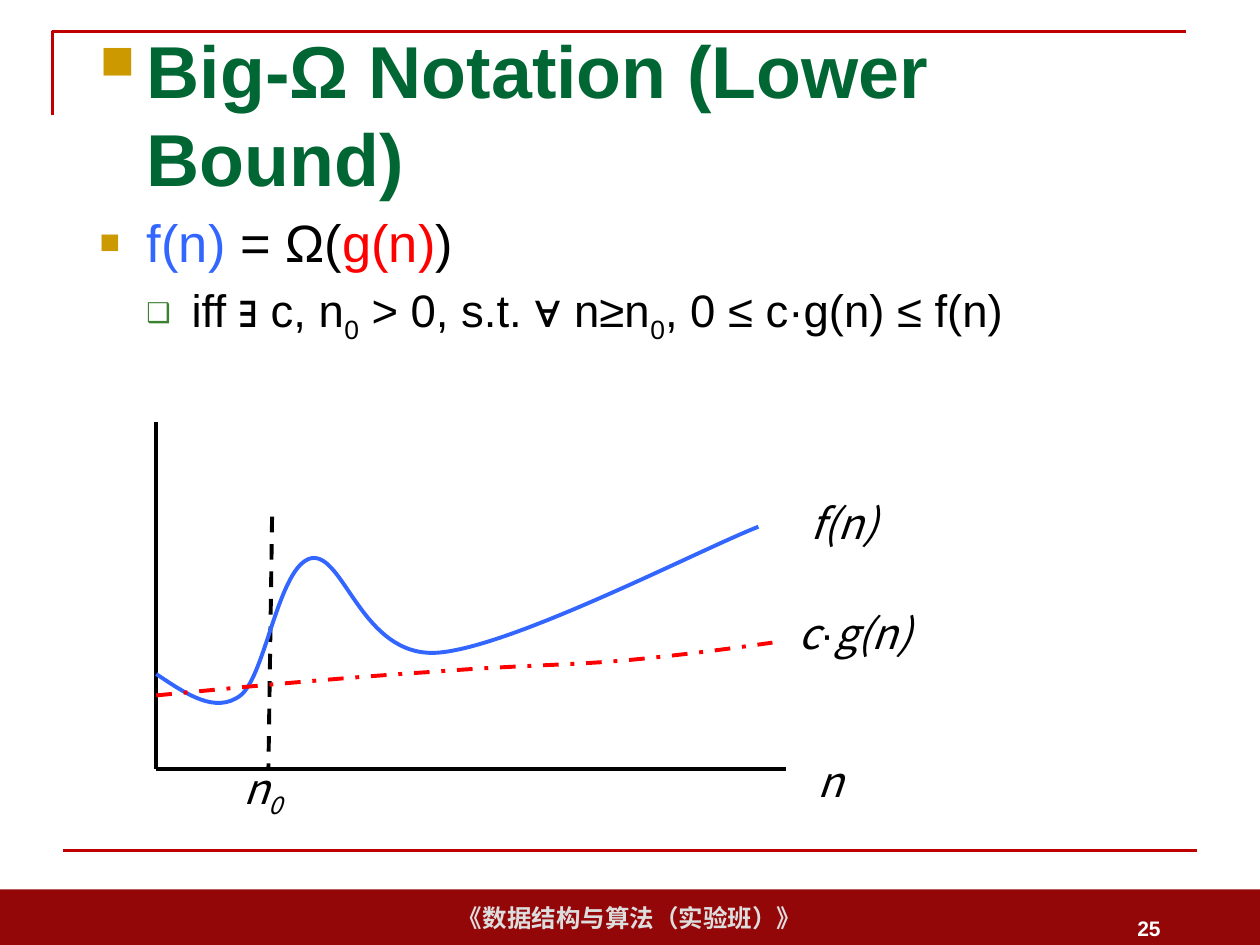
from lxml.etree import SubElement
from pptx import Presentation
from pptx.dml.color import RGBColor
from pptx.enum.dml import MSO_LINE
from pptx.enum.shapes import MSO_CONNECTOR, MSO_SHAPE
from pptx.enum.text import MSO_ANCHOR, MSO_AUTO_SIZE, PP_ALIGN
from pptx.oxml.ns import qn
from pptx.util import Pt

COLORS = {
    "black": "000000", "white": "FFFFFF", "grey": "DDDDDD",
    "blue": "3366FF", "red": "FF0000", "title": "006633",
    "gold": "CC9900", "green": "3B812F", "rule": "C00000", "band": "940709",
}
MATH = {"size": Pt(24), "name": "Noto Sans CJK SC", "color": "black", "italic": True}


def rgb(name):
    return RGBColor.from_string(COLORS[name])


def add_runs(p, base, runs):
    """Add (text, changes) runs to p, each formatted with base plus its changes."""
    for text, changes in runs:
        r = p.add_run()
        r.text = text
        values = {**base, **changes}
        r.font.color.rgb = rgb(values.pop("color"))
        rPr = r._r.get_or_add_rPr()
        if values.pop("sub", False):
            rPr.set("baseline", "-25000")
        for attr, value in values.items():
            setattr(r.font, attr, value)
        SubElement(rPr, qn("a:ea")).set("typeface", values["name"])


prs = Presentation()
prs.slide_width, prs.slide_height = Pt(720), Pt(540)
s = prs.slides.add_slide(prs.slide_layouts[1])

# Footer band
band = s.shapes.add_shape(MSO_SHAPE.RECTANGLE, Pt(0), Pt(508.3), Pt(720), Pt(31.7))
band.shadow.inherit = False
band.fill.solid()
band.fill.fore_color.rgb = rgb("band")
band.line.fill.background()
tf = band.text_frame
tf.word_wrap = False
tf.vertical_anchor = MSO_ANCHOR.MIDDLE
tf.paragraphs[0].alignment = PP_ALIGN.CENTER
add_runs(tf.paragraphs[0], {"size": Pt(14), "name": "Arial", "color": "grey", "bold": True},
         [("《数据结构与算法（实验班）》", {})])

# Title and definition
title, body = s.shapes.title, s.placeholders[1]
for sp, top, height, anchor in (
    (title, 28.8, 71.3, MSO_ANCHOR.MIDDLE),
    (body, 116.6, 370.8, MSO_ANCHOR.TOP),
):
    sp.left, sp.top, sp.width, sp.height = Pt(49.7), Pt(top), Pt(621.4), Pt(height)
    sp.text_frame.auto_size = MSO_AUTO_SIZE.NONE
    sp.text_frame.word_wrap = True
    sp.text_frame.vertical_anchor = anchor

heading = title.text_frame.paragraphs[0]
claim = body.text_frame.paragraphs[0]
condition = body.text_frame.add_paragraph()
condition.level = 1
heading.alignment = PP_ALIGN.LEFT
claim.space_before = Pt(0)

for p, margin, indent, char, color, percent in (
    (heading, 27, -27, "■", "gold", 65),
    (claim, 27, -27, "■", "gold", 65),
    (condition, 52.6, -25.9, "❑", "green", 60),
):
    pPr = p._p.get_or_add_pPr()
    pPr.set("marL", str(Pt(margin)))
    pPr.set("indent", str(Pt(indent)))
    SubElement(SubElement(pPr, qn("a:buClr")), qn("a:srgbClr")).set("val", COLORS[color])
    SubElement(pPr, qn("a:buSzPct")).set("val", str(percent * 1000))
    SubElement(pPr, qn("a:buChar")).set("char", char)

add_runs(heading, {"size": Pt(42), "name": "Arial", "color": "title", "bold": True},
         [("Big-Ω Notation (Lower Bound)", {})])
add_runs(claim, {"size": Pt(30), "name": "Arial", "color": "black"}, [
    ("f(n)", {"color": "blue"}), (" = Ω(", {}), ("g(n)", {"color": "red"}), (")", {}),
])
add_runs(condition, {"size": Pt(26), "name": "Arial", "color": "black"}, [
    ("iff ∃ c, n", {}), ("0", {"sub": True}), (" > 0, s.t. ∀ n≥n", {}),
    ("0", {"sub": True}), (", 0 ≤ c·g(n) ≤ f(n)", {}),
])

# Bottom rule, axes and the n0 marker
for x1, y1, x2, y2, color, width, dash in (
    (36, 486, 684, 486, "rule", 1.5, None),
    (89.3, 439.2, 449.3, 439.2, "black", 2.25, None),
    (89.3, 439.2, 89.3, 241.2, "black", 2.25, None),
    (155.5, 295.2, 153.4, 439.2, "black", 2.25, MSO_LINE.DASH),
):
    line = s.shapes.add_connector(MSO_CONNECTOR.STRAIGHT, Pt(x1), Pt(y1), Pt(x2), Pt(y2))
    line.line.color.rgb = rgb(color)
    line.line.width = Pt(width)
    line.line.dash_style = dash
    SubElement(line._element.spPr, qn("a:effectLst"))

# Corner frame and the two functions; curves list Bezier control points
corner = [(30, 66), (30, 18), (678, 18)]
f_curve = [
    (89.3, 385.2), (106.6, 396.7), (123.1, 408.2), (137.5, 397.4),
    (151.9, 385.9), (159.1, 323.3), (177.8, 319),
    (196.6, 315.4), (206.6, 375.8), (249.8, 373),
    (292.3, 370.1), (400.3, 313.9), (433.4, 301),
]
g_curve = [
    (89.3, 397.4), (146.9, 391.7), (204.5, 386.6), (249.1, 383.8),
    (293.8, 380.2), (325.4, 380.2), (357.8, 377.3),
    (390.2, 374.4), (426.2, 369.4), (441.4, 367.2),
]
for points, curved, color, width, dash in (
    (corner, False, "rule", 1.5, None),
    (f_curve, True, "blue", 2.25, None),
    (g_curve, True, "red", 2.25, MSO_LINE.DASH_DOT),
):
    start, *rest = [(Pt(x), Pt(y)) for x, y in points]
    builder = s.shapes.build_freeform(*start)
    builder.add_line_segments(rest, close=False)
    sp = builder.convert_to_shape()
    sp.shadow.inherit = False
    sp.fill.background()
    sp.line.color.rgb = rgb(color)
    sp.line.width = Pt(width)
    sp.line.dash_style = dash
    if curved:
        outline = next(sp._element.iter(qn("a:path")))
        segments = outline.findall(qn("a:lnTo"))
        for i in range(0, len(segments), 3):
            bezier = SubElement(outline, qn("a:cubicBezTo"))
            for segment in segments[i:i + 3]:
                bezier.append(segment[0])
                outline.remove(segment)

# Graph labels and page number
page = {"size": Pt(12), "name": "Arial", "color": "white", "bold": True}
for left, top, width, height, wrap, base, runs in (
    (455.8, 280.8, 54, 36.7, False, MATH, [("f(n)", {})]),
    (449.3, 343.4, 97.2, 36, True, MATH,
     [("c", {}), ("·", {"name": "Arial", "italic": False}), ("g(n)", {})]),
    (460.1, 428.4, 29.5, 36.7, False, MATH, [("n", {})]),
    (131.8, 432, 38.9, 36.7, False, MATH, [("n", {}), ("0", {"sub": True})]),
    (508.3, 516.2, 162, 28.8, True, page, [("25", {})]),
):
    tf = s.shapes.add_textbox(Pt(left), Pt(top), Pt(width), Pt(height)).text_frame
    tf.word_wrap = wrap
    if base is page:
        tf.vertical_anchor = MSO_ANCHOR.MIDDLE
        tf.paragraphs[0].alignment = PP_ALIGN.RIGHT
    else:
        tf.auto_size = MSO_AUTO_SIZE.SHAPE_TO_FIT_TEXT
    add_runs(tf.paragraphs[0], base, runs)

prs.save("out.pptx")
